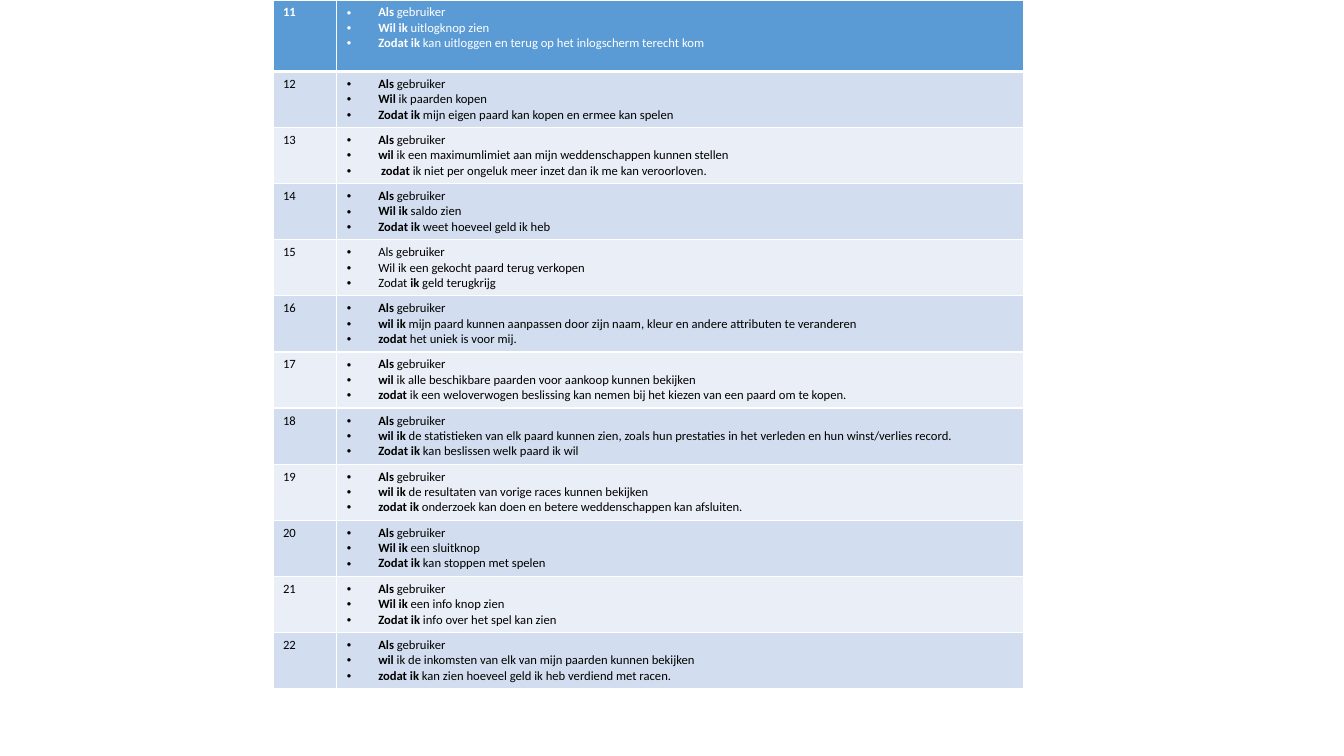
from pptx import Presentation
from pptx.dml.color import RGBColor
from pptx.oxml.ns import qn
from pptx.util import Pt
from lxml.etree import SubElement

STORIES = [
    ("*Als *gebruiker", "*Wil ik *uitlogknop zien",
     "*Zodat ik *kan uitloggen en terug op het inlogscherm terecht kom"),
    ("*Als *gebruiker", "*Wil* ik paarden kopen",
     "*Zodat ik *mijn eigen paard kan kopen en ermee kan spelen"),
    ("*Als* gebruiker", "*wil* ik een maximumlimiet aan mijn weddenschappen kunnen stellen",
     " *zodat* ik niet per ongeluk meer inzet dan ik me kan veroorloven."),
    ("*Als *gebruiker", "*Wil ik *saldo zien", "*Zodat ik *weet hoeveel geld ik heb"),
    ("Als gebruiker", "Wil ik een gekocht paard terug verkopen",
     "Zodat *ik *geld terugkrijg"),
    ("*Als* gebruiker",
     "*wil ik* mijn paard kunnen aanpassen door zijn naam, kleur en andere attributen te veranderen",
     "*zodat* het uniek is voor mij."),
    ("*Als* gebruiker", "*wil* ik alle beschikbare paarden voor aankoop kunnen bekijken",
     "*zodat* ik een weloverwogen beslissing kan nemen bij het kiezen van een paard om te kopen."),
    ("*Als* gebruiker",
     "*wil ik* de statistieken van elk paard kunnen zien, zoals hun prestaties in het verleden "
     "en hun winst/verlies record.",
     "*Zodat ik* kan beslissen welk paard ik wil"),
    ("*Als* gebruiker", "*wil ik* de resultaten van vorige races kunnen bekijken",
     "*zodat ik* onderzoek kan doen en betere weddenschappen kan afsluiten."),
    ("*Als *gebruiker", "*Wil ik *een sluitknop", "*Zodat ik *kan stoppen met spelen"),
    ("*Als *gebruiker", "*Wil ik *een info knop zien",
     "*Zodat ik *info over het spel kan zien"),
    ("*Als* gebruiker", "*wil* ik de inkomsten van elk van mijn paarden kunnen bekijken",
     "*zodat ik* kan zien hoeveel geld ik heb verdiend met racen."),
]
FIRST_NUMBER = 11


def colour(code):
    return RGBColor.from_string(code)


class StorySlide:
    """Draws user stories on one slide in a fixed style."""

    font, size, indent = "Calibri", Pt(9), Pt(22.5)
    rule, header, bands = "FFFFFF", "5B9BD5", ("EAEFF7", "D2DEEF")

    def __init__(self, deck):
        self.slide = deck.slides.add_slide(deck.slide_layouts[6])

    def add_words(self, paragraph, marked, ink):
        for part, words in enumerate(marked.split("*")):
            if words:
                run = paragraph.add_run()
                run.text = words
                run.font.name, run.font.size = self.font, self.size
                run.font.bold = part % 2 == 1
                run.font.color.rgb = colour(ink)

    def bullet(self, paragraph):
        properties = paragraph._p.get_or_add_pPr()
        properties.set("marL", str(self.indent))
        properties.set("indent", str(-self.indent))
        SubElement(properties, qn("a:buFont"), typeface="Arial")
        SubElement(properties, qn("a:buChar"), char="•")

    def border(self, cell, side, width):
        line = SubElement(cell._tc.get_or_add_tcPr(), qn(f"a:ln{side}"), w=str(Pt(width)))
        fill = SubElement(line, qn("a:solidFill"))
        SubElement(fill, qn("a:srgbClr"), val=self.rule)

    def cell(self, cell, lines, row, bulleted):
        widths = {"L": 1, "R": 1, "T": 3 if row == 1 else 1, "B": 3 if row == 0 else 1}
        for side, width in widths.items():
            self.border(cell, side, width)
        cell.fill.solid()
        cell.fill.fore_color.rgb = colour(self.bands[row % 2] if row else self.header)
        frame = cell.text_frame
        for position, marked in enumerate(lines):
            paragraph = frame.add_paragraph() if position else frame.paragraphs[0]
            if bulleted:
                self.bullet(paragraph)
            self.add_words(paragraph, marked, "000000" if row else "FFFFFF")

    def table(self, left, top, widths, heights, stories):
        table = self.slide.shapes.add_table(
            len(stories), len(widths), Pt(left), Pt(top),
            Pt(sum(widths)), Pt(sum(heights))).table
        table.horz_banding = False
        for column, width in zip(table.columns, widths):
            column.width = Pt(width)
        for row, (height, story) in enumerate(zip(heights, stories)):
            table.rows[row].height = Pt(height)
            number = str(FIRST_NUMBER + row)
            self.cell(table.cell(row, 0), [number if row else f"*{number}*"], row, False)
            self.cell(table.cell(row, 1), story, row, True)


def main():
    deck = Presentation()
    deck.slide_width, deck.slide_height = Pt(960), Pt(540)
    heights = [51] + [40.1] * (len(STORIES) - 1)
    StorySlide(deck).table(195, 0, (45.5, 491), heights, STORIES)
    deck.save("out.pptx")


if __name__ == "__main__":
    main()
